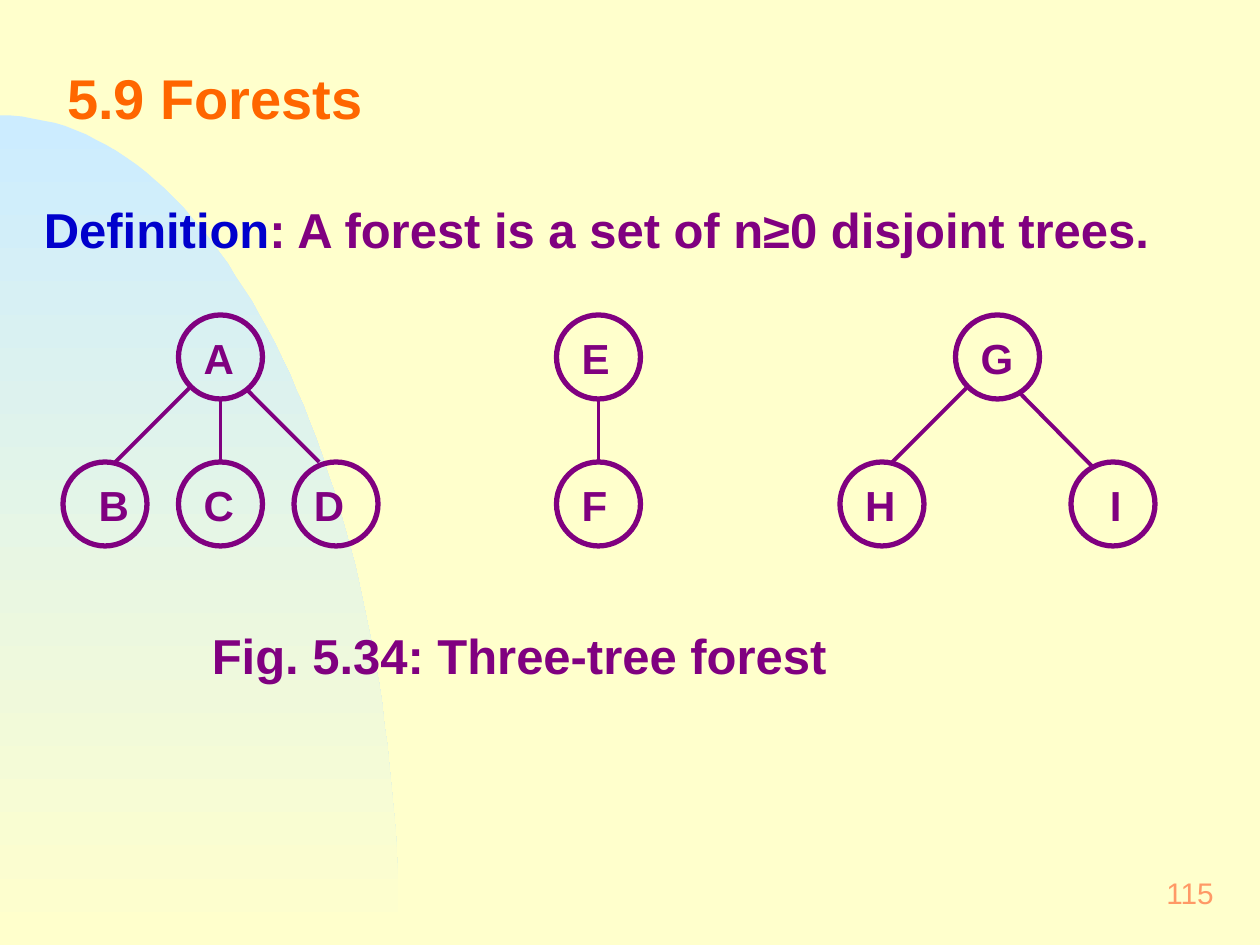
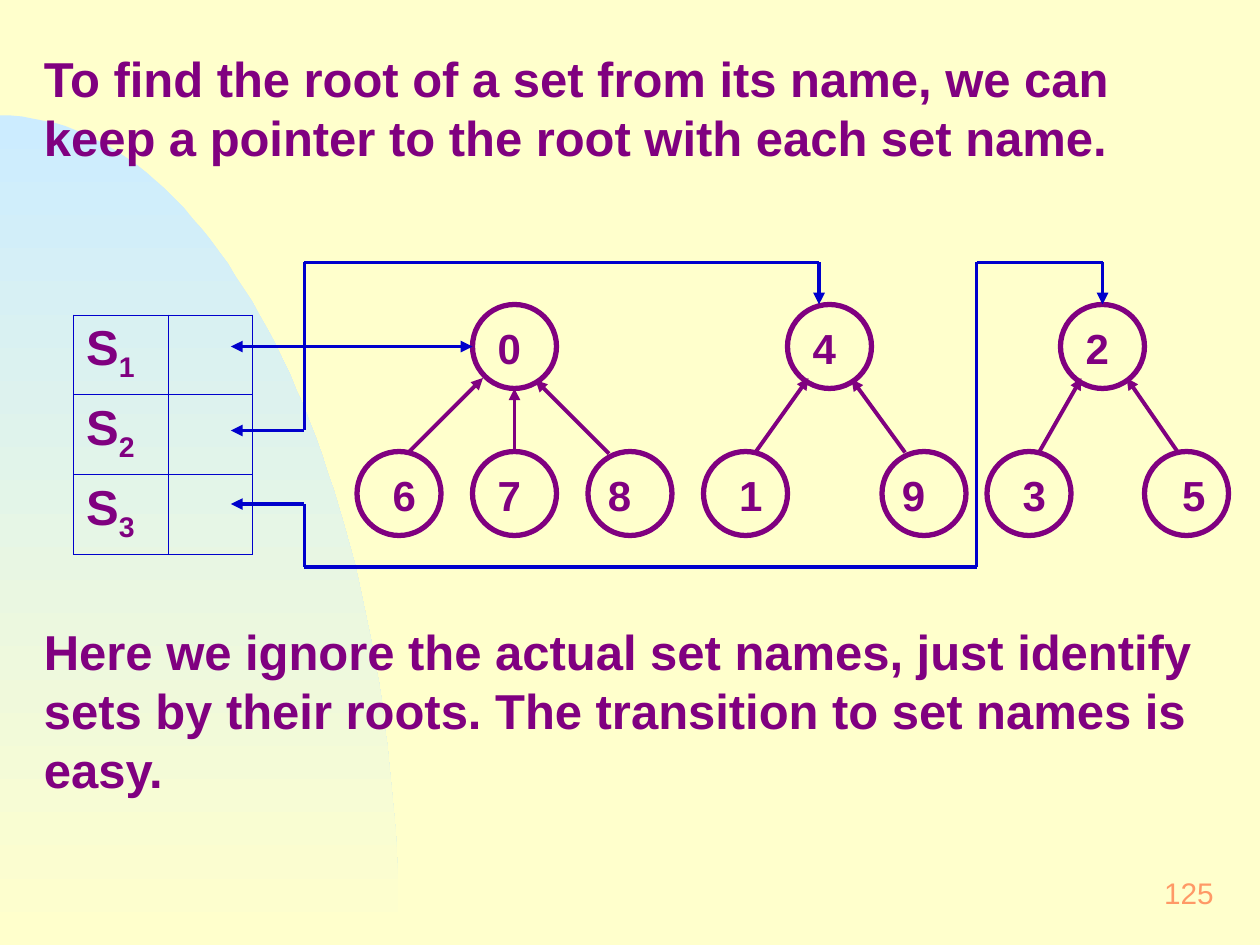
from itertools import pairwise

from lxml import etree
from pptx import Presentation
from pptx.dml.color import RGBColor
from pptx.enum.shapes import MSO_CONNECTOR as LINK, MSO_SHAPE as SHAPE
from pptx.enum.text import MSO_ANCHOR as ANCHOR, PP_ALIGN as ALIGN
from pptx.oxml.ns import qn
from pptx.util import Pt

PX = 7620  # EMU in one px, 120 px to the inch
WIDTH, HEIGHT = 1200, 900

CREAM = RGBColor(0xFF, 0xFF, 0xCC)
SKY = RGBColor(0xCC, 0xEC, 0xFF)
PURPLE = RGBColor(0x80, 0x00, 0x80)
BLUE = RGBColor(0x00, 0x00, 0xCC)
ORANGE = RGBColor(0xFF, 0x66, 0x00)
PEACH = RGBColor(0xFF, 0x99, 0x66)
FONT = "Arial"

NODE = 80  # diameter of a tree node
DROP = 140  # from a root down to its children

# Label shifts inside a node
NEAR, MID, FAR = 5, 10, 20
# Edges from root to child, measured from the root's box
SLANT = (10, 70, -60, 140)
PLUMB = (40, 80, 40, 140)

# Trees: root name, root x, children as (name, shift, label shift, edge)
FOREST = [
    ("A", 170, [("B", -110, FAR, SLANT),
                ("C", 0, MID, PLUMB),
                ("D", 110, NEAR, (64, 70, 134, 140))]),
    ("E", 530, [("F", 0, MID, PLUMB)]),
    ("G", 910, [("H", -110, MID, SLANT),
                ("I", 110, 23, (60, 73, 130, 144))]),
]
SETS = [
    ("0", 450, [("6", -110, FAR, SLANT),
                ("7", 0, MID, PLUMB),
                ("8", 110, NEAR, (60, 72, 130, 142))]),
    ("4", 750, [("1", -80, FAR, (20, 70, -30, 140)),
                ("9", 90, NEAR, (61, 71, 112, 141))]),
    ("2", 1010, [("3", -70, FAR, (20, 70, -20, 140)),
                 ("5", 80, 22, (63, 70, 112, 141))]),
]
# Pointer routes, measured from the table's corner
ROUTES = [
    [(150, 30), (380, 30)],
    [(150, 110), (220, 110), (220, -50), (710, -50), (710, -10)],
    [(150, 180), (220, 180), (220, 240), (860, 240), (860, -50),
     (980, -50), (980, -10)],
]


def emu(*sizes):
    return [size * PX for size in sizes]


def style(run, size, color, bold=True):
    font = run.font
    font.name, font.size, font.bold = FONT, Pt(size), bold
    font.color.rgb = color


def write(slide, box, text, size=28, color=PURPLE, bold=True, pad=(12, 6),
          anchor=ANCHOR.TOP):
    """Add a text box and return its paragraph."""
    frame = slide.shapes.add_textbox(*emu(*box)).text_frame
    frame.word_wrap = True
    frame.vertical_anchor = anchor
    frame.margin_left = frame.margin_right = pad[0] * PX
    frame.margin_top = frame.margin_bottom = pad[1] * PX
    frame.text = text
    para = frame.paragraphs[0]
    style(para.runs[0], size, color, bold)
    return para


def line(slide, ends, color, head=False, tail=False):
    link = slide.shapes.add_connector(LINK.STRAIGHT, *emu(*ends))
    link.line.color.rgb = color
    link.line.width = Pt(2.25)
    props = link._element.spPr
    stroke = props.find(qn("a:ln"))
    for tag, wanted in (("a:headEnd", head), ("a:tailEnd", tail)):
        if wanted:
            etree.SubElement(stroke, qn(tag), type="triangle")
    etree.SubElement(props, qn("a:effectLst"))


def swoosh(slide):
    """Draw the quarter oval that fades down the left side."""
    top, right, steps = 110, 380, 60
    curve = []
    for step in range(1, steps + 1):
        t = step / steps
        s = 1 - t
        x = 3 * s * s * t * 210 + 3 * s * t * t * right + t ** 3 * right
        y = (s ** 3 + 3 * s * s * t) * top + 3 * s * t * t * 464 + t ** 3 * HEIGHT
        curve.append((x, y))
    path = slide.shapes.build_freeform(0, top, scale=PX)
    path.add_line_segments(curve + [(0, HEIGHT)], close=True)
    shape = path.convert_to_shape()
    shape.shadow.inherit = False
    shape.line.fill.background()
    shape.fill.gradient()
    shape.fill.gradient_angle = 270
    for stop, color in zip(shape.fill.gradient_stops, (SKY, CREAM)):
        stop.color.rgb = color


def page(deck, number):
    """Add a slide with the shared backdrop and page number."""
    slide = deck.slides.add_slide(deck.slide_layouts[6])
    slide.background.fill.solid()
    slide.background.fill.fore_color.rgb = CREAM
    swoosh(slide)
    para = write(slide, (920, 820, 250, 60), number, 17, PEACH, False,
                 (14, 7), ANCHOR.MIDDLE)
    para.alignment = ALIGN.RIGHT
    return slide


def node(slide, x, y, name, shift=MID):
    ring = slide.shapes.add_shape(SHAPE.OVAL, *emu(x, y, NODE, NODE))
    ring.shadow.inherit = False
    ring.fill.background()
    ring.line.color.rgb = PURPLE
    ring.line.width = Pt(3)
    write(slide, (x + shift, y + 10, 60, 62), name, 24, pad=(14, 7))


def tree(slide, x, y, name, kids, arrows):
    node(slide, x, y, name)
    for kid, gap, shift, (x1, y1, x2, y2) in kids:
        node(slide, x + gap, y + DROP, kid, shift)
        line(slide, (x + x1, y + y1, x + x2, y + y2), PURPLE, head=arrows)


def trees(slide, y, group, arrows=False):
    for name, x, kids in group:
        tree(slide, x, y, name, kids, arrows)


def edge(cell):
    """Give a cell thin blue borders and no fill."""
    props = cell._tc.get_or_add_tcPr()
    for side in "LRTB":
        border = etree.SubElement(props, qn("a:ln" + side), w=str(Pt(0.45)))
        fill = etree.SubElement(border, qn("a:solidFill"))
        etree.SubElement(fill, qn("a:srgbClr"), val=str(BLUE))
    cell.fill.background()


def names(slide, x, y):
    """Draw the table of set names."""
    cols, high, rows = (90, 80), 76, 3
    box = emu(x, y, sum(cols), high * rows)
    table = slide.shapes.add_table(rows, len(cols), *box).table
    table.first_row = table.horz_banding = False
    for col, wide in zip(table.columns, cols):
        col.width = wide * PX
    for index, row in enumerate(table.rows, 1):
        row.height = high * PX
        for cell in row.cells:
            edge(cell)
        para = row.cells[0].text_frame.paragraphs[0]
        para.text = "S"
        para.add_run().text = str(index)
        for run in para.runs:
            style(run, 28, PURPLE)
        para.runs[1]._r.get_or_add_rPr().set("baseline", "-25000")


def routes(slide, x, y):
    """Draw the pointers between set names and roots."""
    for route in ROUTES:
        legs = list(pairwise(route))
        for index, ((x1, y1), (x2, y2)) in enumerate(legs):
            line(slide, (x + x1, y + y1, x + x2, y + y2), BLUE,
                 head=index == 0, tail=index == len(legs) - 1)


def forests(deck):
    slide = page(deck, "115")
    title = write(slide, (50, 40, 1110, 120), "5.9 Forests", 32, ORANGE,
                  pad=(14, 7), anchor=ANCHOR.MIDDLE)
    title.line_spacing = 0.7
    para = write(slide, (30, 184, 1150, 68), "Definition", color=BLUE)
    rest = para.add_run()
    rest.text = ": A forest is a set of n≥0 disjoint trees."
    style(rest, 28, PURPLE)
    trees(slide, 300, FOREST)
    write(slide, (190, 590, 830, 68), "Fig. 5.34: Three-tree forest")


def sets(deck):
    slide = page(deck, "125")
    write(slide, (30, 40, 1150, 125),
          "To find the root of a set from its name, we can keep a pointer "
          "to the root with each set name.")
    trees(slide, 290, SETS, arrows=True)
    write(slide, (30, 586, 1150, 180),
          "Here we ignore the actual set names, just identify sets by their "
          "roots. The transition to set names is easy.")
    corner = (70, 300)
    names(slide, *corner)
    routes(slide, *corner)


def main():
    deck = Presentation()
    deck.slide_width, deck.slide_height = emu(WIDTH, HEIGHT)
    forests(deck)
    sets(deck)
    deck.save("out.pptx")


if __name__ == "__main__":
    main()
